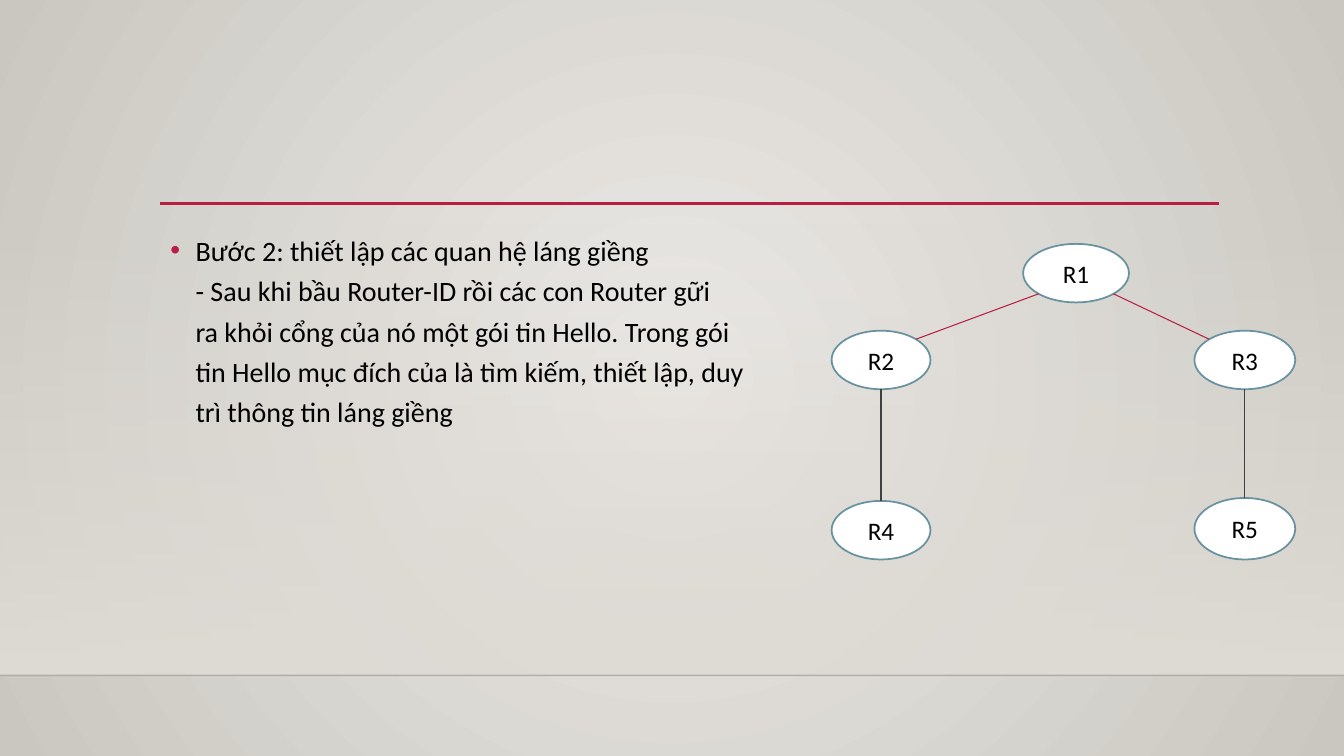
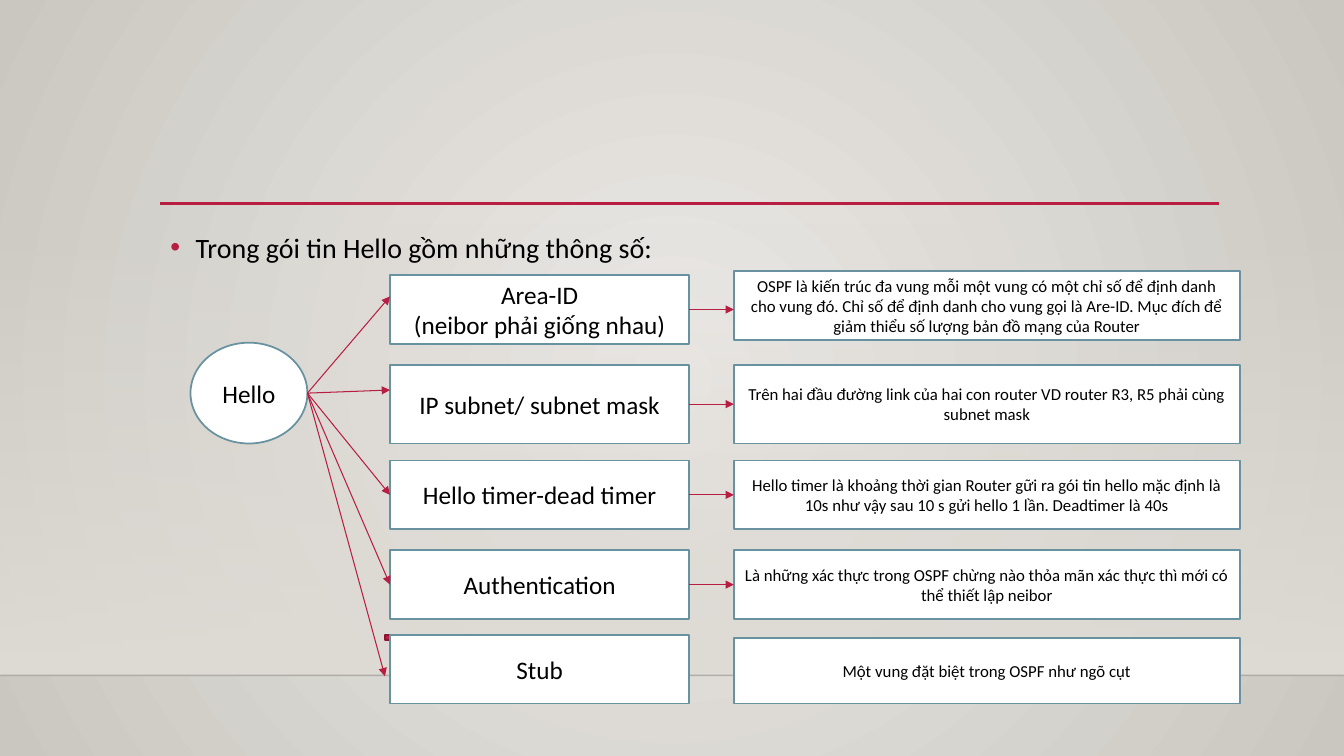
import copy
import math
from dataclasses import dataclass

import pptx
import pptx.dml.color
import pptx.enum.dml
import pptx.enum.shapes
import pptx.enum.text
import pptx.oxml
import pptx.oxml.ns
import pptx.util
from lxml import etree

Pt = pptx.util.Pt
qn = pptx.oxml.ns.qn
SHAPES = pptx.enum.shapes.MSO_SHAPE

COLOURS = {
    "glow": "ECEAE7", "edge": "CAC7C1", "band": "DFDBD5",
    "accent": "B71E42", "accent_dark": "871631", "outline": "6892A0",
    "white": "FFFFFF", "black": "000000", "trunk": "404040",
}
FONT = "Calibri"
WIDTH, HEIGHT = 960, 540
FLOOR = 482.4


@dataclass(frozen=True)
class Box:
    left: float
    top: float
    width: float
    height: float
    text: str = ""
    size: float = 18

    @property
    def right(self) -> float:
        return self.left + self.width

    @property
    def middle(self) -> float:
        return self.top + self.height / 2

    def rim(self, degrees: float) -> tuple[float, float]:
        """Point on the inscribed ellipse, clockwise from the right."""
        angle = math.radians(degrees)
        return (self.left + self.width / 2 * (1 + math.cos(angle)),
                self.middle + self.height / 2 * math.sin(angle))


@dataclass(frozen=True)
class Parameter:
    label: Box
    note: Box
    arrow_end: tuple[float, float]
    linked: bool = True


def rgb(name: str) -> pptx.dml.color.RGBColor:
    return pptx.dml.color.RGBColor.from_string(COLOURS[name])


def child(parent, tag: str, **attributes: str):
    element = etree.SubElement(parent, qn(tag))
    for key, value in attributes.items():
        element.set(key, value)
    return element


def set_gradient(fill, first: str, last: str) -> None:
    fill.gradient()
    for stop, name, position in zip(fill.gradient_stops, (first, last), (0, 1)):
        stop.color.rgb = rgb(name)
        stop.position = position


def style_text(paragraph, text: str, size: float) -> None:
    paragraph.text = text
    for run in paragraph.runs:
        run.font.name = FONT
        run.font.size = Pt(size)
        run.font.color.rgb = rgb("black")
    # Line breaks take the size of the text around them
    for line_break in paragraph._p.findall(qn("a:br")):
        line_break.append(copy.deepcopy(paragraph._p.find(qn("a:r")).find(qn("a:rPr"))))


def draw_box(slide, box: Box, kind=SHAPES.RECTANGLE,
             fill: str = "white", outline: str = "outline"):
    shape = slide.shapes.add_shape(
        kind, Pt(box.left), Pt(box.top), Pt(box.width), Pt(box.height))
    shape.shadow.inherit = False
    shape.fill.solid()
    shape.fill.fore_color.rgb = rgb(fill)
    shape.line.color.rgb = rgb(outline)
    shape.line.width = Pt(1.25)
    if box.text:
        frame = shape.text_frame
        frame.word_wrap = True
        frame.vertical_anchor = pptx.enum.text.MSO_ANCHOR.MIDDLE
        frame.paragraphs[0].alignment = pptx.enum.text.PP_ALIGN.CENTER
        style_text(frame.paragraphs[0], box.text, box.size)
    return shape


def draw_line(slide, start: tuple[float, float], end: tuple[float, float],
              colour: str = "accent", width: float = 0.75, arrow: bool = False):
    line = slide.shapes.add_connector(
        pptx.enum.shapes.MSO_CONNECTOR.STRAIGHT, *map(Pt, start + end))
    line.line.color.rgb = rgb(colour)
    line.line.width = Pt(width)
    properties = line.element.spPr
    if arrow:
        child(properties.find(qn("a:ln")), "a:tailEnd", type="triangle")
    child(properties, "a:effectLst")
    return line


def dress_layout(slide) -> None:
    """Put the background, band and rules on the layout both slides use."""
    layout = slide.slide_layout
    background = layout.background.fill
    set_gradient(background, "glow", "edge")
    gradient = next(layout.element.iter(qn("a:gradFill")))
    gradient.remove(gradient.find(qn("a:lin")))
    centre = child(gradient, "a:path", path="circle")
    child(centre, "a:fillToRect", l="50000", t="50000", r="50000", b="50000")

    # Band that fades in towards the floor line
    band = draw_box(slide, Box(0, 159.1, WIDTH, FLOOR - 159.1))
    set_gradient(band.fill, "band", "band")
    band.fill.gradient_angle = 270
    band.line.fill.background()
    child(next(band.element.iter(qn("a:srgbClr"))), "a:alpha", val="0")

    # Floor line and title rule
    floor = draw_line(slide, (0, FLOOR), (WIDTH, FLOOR), "black", 1)
    child(next(floor.element.iter(qn("a:srgbClr"))), "a:alpha", val="20000")
    rule = draw_line(slide, (114.5, 145.5), (871, 145.5), width=2.5)

    for number, part in enumerate((band, floor, rule), start=20):
        next(part.element.iter(qn("p:cNvPr"))).set("id", str(number))
        layout.shapes.element.append(part.element)


def add_slide(deck, top: float, text: str):
    slide = deck.slides.add_slide(deck.slide_layouts[1])
    title = slide.shapes.title
    title.element.getparent().remove(title.element)

    body = slide.placeholders[1]
    body.left, body.top, body.width, body.height = map(Pt, (114.5, top, 756, 271.5))
    frame = body.text_frame
    frame.auto_size = pptx.enum.text.MSO_AUTO_SIZE.NONE
    frame.vertical_anchor = pptx.enum.text.MSO_ANCHOR.TOP
    point = frame.paragraphs[0]
    style_text(point, text, 20)
    point.line_spacing = 1.2
    point.space_before = Pt(10)
    properties = point._p.get_or_add_pPr()
    properties.set("marL", str(Pt(18)))
    properties.set("indent", str(Pt(-18)))
    child(child(properties, "a:buClr"), "a:srgbClr", val=COLOURS["accent"])
    child(properties, "a:buFont", typeface="Arial")
    child(properties, "a:buChar", char="•")
    return slide


def build_neighbours(slide) -> None:
    r1 = Box(730.8, 174.2, 75.6, 41.8, "R1")
    r2 = Box(594, 236.2, 70.6, 41.8, "R2")
    r3 = Box(853.2, 236.2, 72, 41.8, "R3")
    r4 = Box(594, 357.8, 70.6, 41.8, "R4")
    r5 = Box(853.2, 355.7, 72, 43.9, "R5")
    for router in (r1, r2, r3, r4, r5):
        draw_box(slide, router, SHAPES.OVAL)
    draw_line(slide, r2.rim(-45), r1.rim(135))
    draw_line(slide, r1.rim(45), r3.rim(-135))
    for upper, lower in ((r2, r4), (r3, r5)):
        draw_line(slide, upper.rim(90), lower.rim(-90), "trunk")


def parameter(top: float, height: float, label: str, note: str, arrow_y: float,
              arrow_x: float = 278.6, note_top: float = 0,
              note_height: float = 0, linked: bool = True) -> Parameter:
    return Parameter(
        Box(278.6, top, 213.8, height, label),
        Box(524.2, note_top or top, 361.4, note_height or height, note, 12),
        (arrow_x, arrow_y), linked)


PARAMETERS = (
    parameter(196.6, 49, "Area-ID\n(neibor phải giống nhau)",
              "OSPF là kiến trúc đa vung mỗi một vung có một chỉ số để định danh "
              "cho vung đó. Chỉ số để định danh cho vung gọi là Are-ID. Mục đích để "
              "giảm thiểu số lượng bản đồ mạng của Router", 211.7, note_top=193.7),
    parameter(260.6, 56.2, "IP subnet/ subnet mask",
              "Trên hai đầu đường link của hai con router VD router R3, R5 phải cùng "
              "subnet mask", 278.6),
    parameter(329, 49, "Hello timer-dead timer",
              "Hello timer là khoảng thời gian Router gữi ra gói tin hello mặc định là "
              "10s như vậy sau 10 s gửi hello 1 lần. Deadtimer là 40s", 353.5),
    parameter(393.1, 49, "Authentication",
              "Là những xác thực trong OSPF chừng nào thỏa mãn xác thực thì mới có "
              "thể thiết lập neibor", 417.6),
    parameter(453.6, 49, "Stub", "Một vung đặt biệt trong OSPF như ngõ cụt",
              483.1, arrow_x=275, note_top=455.8, note_height=46.8, linked=False),
)


def build_hello(slide) -> None:
    hello = Box(136.1, 244.8, 83.5, 72, "Hello")
    draw_box(slide, hello, SHAPES.OVAL)
    # Small marker at the corner of the last label
    draw_box(slide, Box(275, 453.6, 3.6, 3.6), fill="accent", outline="accent_dark")
    for row in PARAMETERS:
        draw_box(slide, row.label)
        draw_box(slide, row.note)
        draw_line(slide, hello.rim(0), row.arrow_end, arrow=True)
        if row.linked:
            draw_line(slide, (row.label.right, row.label.middle),
                      (row.note.left, row.label.middle), arrow=True)


def main() -> None:
    deck = pptx.Presentation()
    deck.slide_width, deck.slide_height = Pt(WIDTH), Pt(HEIGHT)

    neighbours = add_slide(
        deck, 158.4,
        "Bước 2: thiết lập các quan hệ láng giềng\n"
        "- Sau khi bầu Router-ID rồi các con Router gữi\n"
        "ra khỏi cổng của nó một gói tin Hello. Trong gói\n"
        "tin Hello mục đích của là tìm kiếm, thiết lập, duy\n"
        "trì thông tin láng giềng")
    dress_layout(neighbours)
    build_neighbours(neighbours)

    build_hello(add_slide(deck, 156.2, "Trong gói tin Hello gồm những thông số:"))
    deck.save("out.pptx")


if __name__ == "__main__":
    main()
